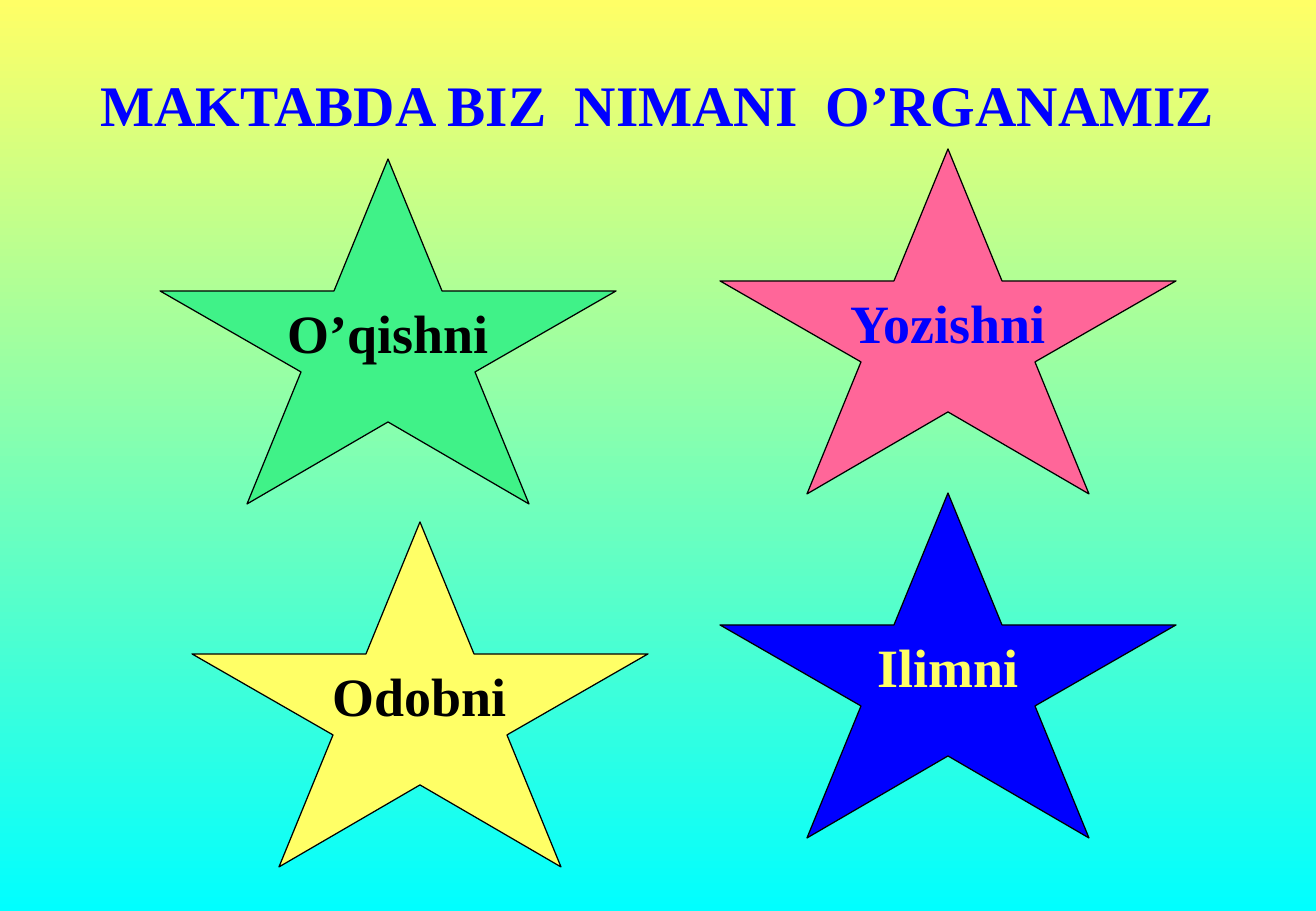
"""Build a slide with a heading and four labelled stars on a gradient."""
from pptx import Presentation
from pptx.dml.color import RGBColor
from pptx.enum.text import MSO_ANCHOR, PP_ALIGN
from pptx.util import Pt

PX = 7532
COLORS = {
    "yellow": "FFFF66",
    "cyan": "00FFFF",
    "blue": "0000FF",
    "green": "40F288",
    "pink": "FF6699",
    "black": "000000",
}
STAR = [
    (0, 132), (174, 132), (228, 0), (282, 132), (456, 132),
    (315, 213), (369, 345), (228, 263), (87, 345), (141, 213),
]
LABELS = [
    ("O’qishni", 160, 159, "green", "black"),
    ("Yozishni", 720, 149, "pink", "blue"),
    ("Odobni", 192, 522, "yellow", "black"),
    ("Ilimni", 720, 493, "blue", "yellow"),
]


def rgb(name):
    return RGBColor.from_string(COLORS[name])


def write(frame, text, size, color):
    para = frame.paragraphs[0]
    para.alignment = PP_ALIGN.CENTER
    run = para.add_run()
    run.text = text
    run.font.name = "Times New Roman"
    run.font.size = Pt(size)
    run.font.bold = True
    run.font.color.rgb = rgb(color)


deck = Presentation()
deck.slide_width = 1316 * PX
deck.slide_height = 911 * PX
slide = deck.slides.add_slide(deck.slide_layouts[6])

back = slide.background.fill
back.gradient()
back.gradient_angle = 270
for stop, name in zip(back.gradient_stops, ("yellow", "cyan")):
    stop.color.rgb = rgb(name)

title = slide.shapes.add_textbox(36 * PX, 63 * PX, 1243 * PX, 81 * PX)
title.text_frame.word_wrap = True
write(title.text_frame, "MAKTABDA BIZ  NIMANI  O’RGANAMIZ", 34, "blue")

for text, left, top, fill, color in LABELS:
    points = [(left + x, top + y) for x, y in STAR]
    outline = slide.shapes.build_freeform(*points[0], scale=PX)
    outline.add_line_segments(points[1:], close=True)
    star = outline.convert_to_shape()
    star.shadow.inherit = False
    star.fill.solid()
    star.fill.fore_color.rgb = rgb(fill)
    star.line.color.rgb = rgb("black")
    star.line.width = Pt(0.75)
    star.text_frame.word_wrap = False
    star.text_frame.vertical_anchor = MSO_ANCHOR.MIDDLE
    write(star.text_frame, text, 32, color)

deck.save("out.pptx")
